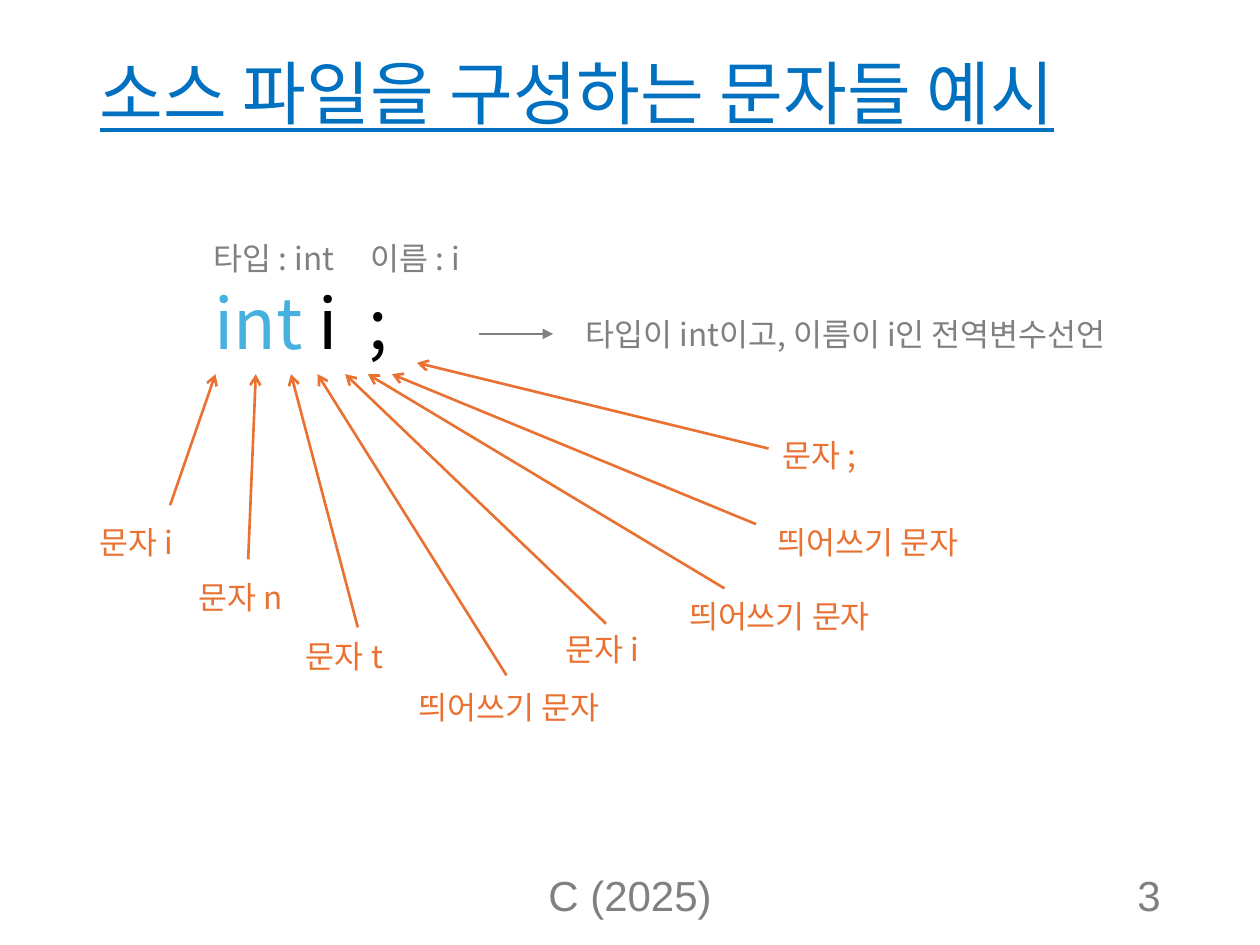
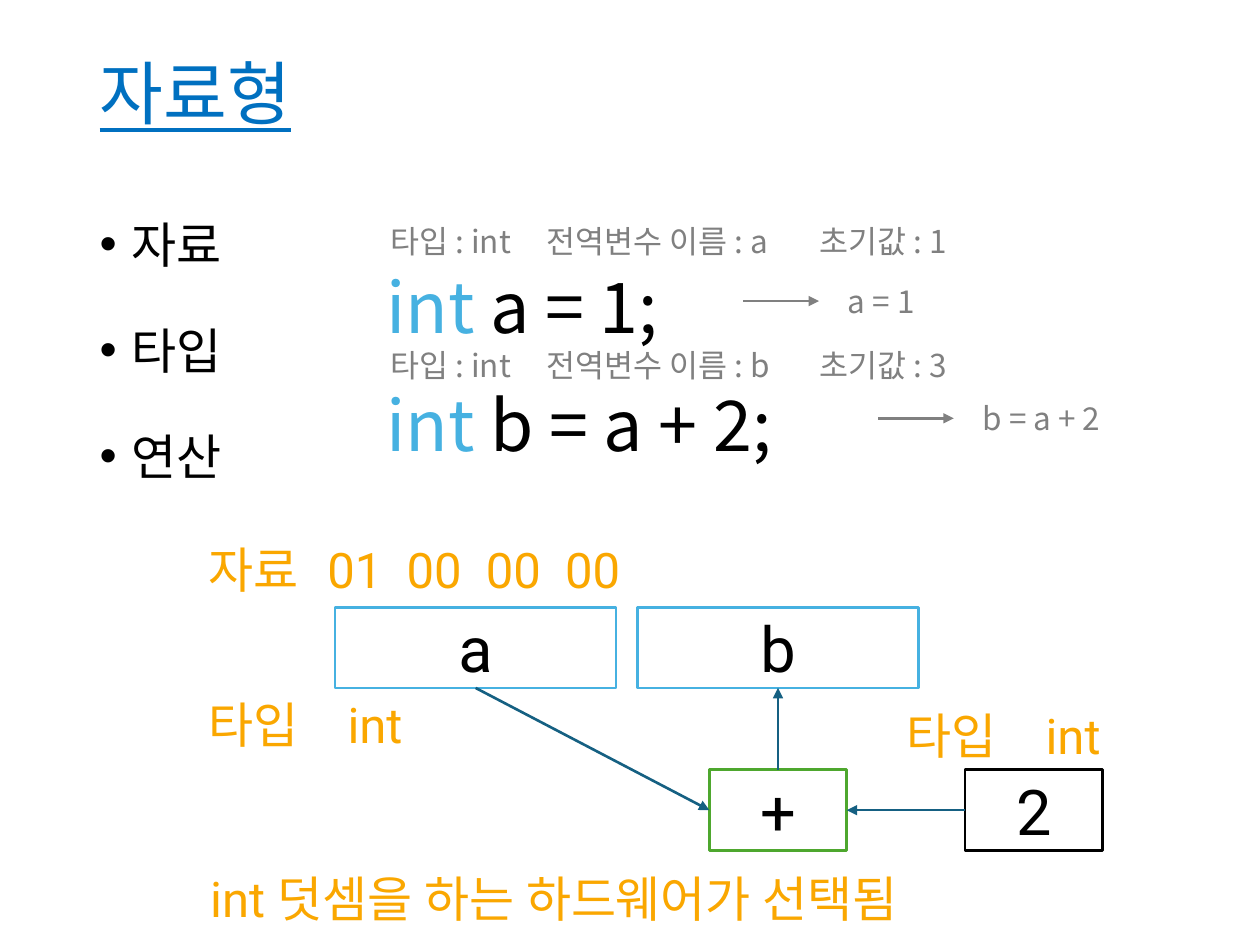
from lxml.etree import SubElement
from pptx import Presentation
from pptx.dml.color import RGBColor
from pptx.enum.shapes import MSO_CONNECTOR as Connector, MSO_SHAPE as Shape
from pptx.enum.text import MSO_ANCHOR as Anchor, MSO_AUTO_SIZE as AutoSize, PP_ALIGN as Align
from pptx.oxml.ns import qn
from pptx.util import Inches, Pt

TITLE_BLUE = RGBColor(0x00, 0x70, 0xC0)
KEYWORD_BLUE = RGBColor(0x46, 0xB1, 0xE1)
FLOW_BLUE = RGBColor(0x15, 0x60, 0x82)
GRAY = RGBColor(0x80, 0x80, 0x80)
ORANGE = RGBColor(0xE9, 0x71, 0x32)
AMBER = RGBColor(0xFA, 0xA7, 0x00)
GREEN = RGBColor(0x4E, 0xA7, 0x2E)
BLACK = RGBColor(0, 0, 0)
WHITE = RGBColor(0xFF, 0xFF, 0xFF)

KOREAN_FONT = "Noto Sans CJK KR"
DIAGRAM_FONT = "Roboto"
FOOTER_FONT = "Arial"
NOTE_HEIGHT = 0.4
BULLET_INDENT = 0.25


def write_text(frame, paragraphs, size=18, font=KOREAN_FONT, color=BLACK, align=Align.LEFT,
               anchor=Anchor.TOP, wrap=True, fit=AutoSize.NONE, underline=None,
               line_spacing=None, space_before=None, bullet=None):
    """Fill a frame; a paragraph is a string or a list of (text, colour) runs."""
    frame.word_wrap, frame.auto_size, frame.vertical_anchor = wrap, fit, anchor
    if isinstance(paragraphs, str):
        paragraphs = [paragraphs]
    for index, content in enumerate(paragraphs):
        paragraph = frame.paragraphs[0] if index == 0 else frame.add_paragraph()
        paragraph.alignment = align
        paragraph.line_spacing = line_spacing
        if space_before is not None:
            paragraph.space_before = Pt(space_before)
        if bullet is not None:
            set_bullet(paragraph, bullet)
        for text, run_color in [(content, color)] if isinstance(content, str) else content:
            run = paragraph.add_run()
            run.text = text
            run.font.size = Pt(size)
            run.font.underline = underline
            run.font.color.rgb = run_color
            run.font.name = font
            SubElement(run.font._element, qn("a:ea"), typeface=font)


def set_bullet(paragraph, character):
    """Give a list paragraph a hanging bullet, or none for an empty character."""
    properties = paragraph._p.get_or_add_pPr()
    indent = Inches(BULLET_INDENT) if character else 0
    properties.set("marL", str(indent))
    properties.set("indent", str(-indent))
    if character:
        SubElement(properties, qn("a:buFont"), typeface="Arial")
        SubElement(properties, qn("a:buChar"), char=character)
    else:
        SubElement(properties, qn("a:buNone"))


class Lecture:
    """Holds the presentation, its style and the current slide."""

    def __init__(self):
        self.presentation = Presentation()
        self.presentation.slide_width = Inches(10)
        self.presentation.slide_height = Inches(7.5)
        self.slide = None

    def new_slide(self, title, width):
        layout = self.presentation.slide_layouts[1]
        self.slide = self.presentation.slides.add_slide(layout)
        shape = self.slide.shapes.title
        self.place(shape, 0.69, 0.4, width, 0.74)
        write_text(shape.text_frame, title, size=39.6, color=TITLE_BLUE, underline=True,
                   anchor=Anchor.MIDDLE, line_spacing=0.9)

    def place(self, shape, left, top, width, height):
        shape.left, shape.top = Inches(left), Inches(top)
        shape.width, shape.height = Inches(width), Inches(height)

    def body(self, paragraphs, left, top, width, height, **style):
        shape = self.slide.placeholders[1]
        self.place(shape, left, top, width, height)
        write_text(shape.text_frame, paragraphs, space_before=10, **style)

    def text(self, text, left, top, width, height, **style):
        shape = self.slide.shapes.add_textbox(
            Inches(left), Inches(top), Inches(width), Inches(height))
        write_text(shape.text_frame, text, **style)

    def note(self, text, left, top, width, color=GRAY):
        self.text(text, left, top, width, NOTE_HEIGHT, color=color, wrap=False,
                  fit=AutoSize.SHAPE_TO_FIT_TEXT)

    def caption(self, text, left, top, width, align=Align.LEFT):
        self.text(text, left, top, width, 0.57, size=28, font=DIAGRAM_FONT, color=AMBER,
                  align=align, fit=AutoSize.SHAPE_TO_FIT_TEXT)

    def footer(self, text, left, width, align):
        self.text(text, left, 6.95, width, 0.4, size=24, font=FOOTER_FONT, color=GRAY,
                  align=align, anchor=Anchor.BOTTOM)

    def box(self, paragraphs, left, top, width, height, line=None, **style):
        shape = self.slide.shapes.add_shape(
            Shape.RECTANGLE, Inches(left), Inches(top), Inches(width), Inches(height))
        shape.shadow.inherit = False
        shape.fill.solid()
        shape.fill.fore_color.rgb = WHITE
        if line is None:
            shape.line.fill.background()
        else:
            shape.line.color.rgb = line
            shape.line.width = Pt(1.5)
        write_text(shape.text_frame, paragraphs, **style)
        return shape

    def value_box(self, text, left, top, width, line):
        return self.box(text, left, top, width, 0.64, line=line, size=36, font=DIAGRAM_FONT,
                        align=Align.CENTER, anchor=Anchor.MIDDLE)

    def arrow(self, start, end, color, head="triangle"):
        connector = self.slide.shapes.add_connector(
            Connector.STRAIGHT, *(Inches(value) for value in (*start, *end)))
        connector.line.color.rgb = color
        connector.line.width = Pt(1.5)
        SubElement(connector.line._get_or_add_ln(), qn("a:tailEnd"), type=head)
        SubElement(connector._element.spPr, qn("a:effectLst"))
        return connector

    def flow(self, source, source_side, target, target_side):
        connector = self.arrow((0, 0), (1, 1), FLOW_BLUE)
        connector.begin_connect(source, source_side)
        connector.end_connect(target, target_side)


def build_characters_slide(lecture):
    lecture.new_slide("소스 파일을 구성하는 문자들 예시", 9.05)
    lecture.footer("C (2025)", 3.31, 3.38, Align.CENTER)
    lecture.footer("3", 7.06, 2.25, Align.RIGHT)

    # Declaration and its meaning
    lecture.body([[("int", KEYWORD_BLUE), (" i  ;", BLACK)]], 1.6, 2.24, 7.54, 0.73,
                 size=40, line_spacing=0.9, bullet="")
    lecture.note("타입 : int", 1.6, 1.85, 1.24)
    lecture.note("이름 : i", 2.84, 1.85, 1)
    lecture.arrow((3.8, 2.65), (4.39, 2.65), GRAY)
    lecture.note("타입이 int이고, 이름이 i인 전역변수선언", 4.55, 2.45, 4.85)

    # Each character: label, label place and width, arrow start and end
    space = "띄어쓰기 문자"
    characters = [
        ("문자 i", 0.69, 4.1, 0.86, (1.35, 4.01), (1.71, 2.97)),
        ("문자 n", 1.48, 4.54, 0.94, (1.97, 4.44), (2.03, 2.97)),
        ("문자 t", 2.33, 5.01, 0.88, (2.84, 4.98), (2.31, 2.97)),
        (space, 3.22, 5.41, 1.81, (4.02, 5.36), (2.52, 2.97)),
        ("문자 i", 4.39, 4.95, 0.86, (4.81, 4.95), (2.74, 2.97)),
        (space, 5.37, 4.69, 1.81, (5.75, 4.67), (2.92, 2.97)),
        (space, 6.07, 4.1, 1.81, (6, 4.16), (3.11, 2.97)),
        ("문자 ;", 6.11, 3.41, 0.86, (6.1, 3.56), (3.31, 2.88)),
    ]
    for label, left, top, width, start, end in characters:
        lecture.arrow(start, end, ORANGE, head="arrow")
        lecture.note(label, left, top, width, color=ORANGE)


def build_types_slide(lecture):
    lecture.new_slide("자료형", 9.18)
    lecture.body(["자료", "타입", "연산"], 0.69, 1.42, 8.34, 5.34,
                 size=28, line_spacing=1.5, bullet="•")

    # Declarations with notes above and results to the right
    lecture.box([[("int", KEYWORD_BLUE), (" a = 1;", BLACK)],
                 [("int", KEYWORD_BLUE), (" b = a + 2;", BLACK)]],
                2.97, 1.91, 6.06, 1.84, size=40, line_spacing=1.2, space_before=10)
    declarations = [
        ("a", "1", 1.71, "a = 1", 5.9, 2.39, 0.83),
        ("b", "3", 2.7, "b = a + 2", 6.97, 3.32, 1.33),
    ]
    for name, value, top, result, arrow_left, arrow_top, width in declarations:
        lecture.note("타입 : int", 3, top, 1.24)
        lecture.note(f"전역변수 이름 : {name}", 4.24, top, 2.17)
        lecture.note(f"초기값 : {value}", 6.41, top, 1.33)
        lecture.arrow((arrow_left, arrow_top), (arrow_left + 0.6, arrow_top), GRAY)
        lecture.note(result, arrow_left + 0.73, arrow_top - NOTE_HEIGHT / 2, width)

    # Data flow of the addition
    variable_a = lecture.value_box("a", 2.66, 4.82, 2.23, KEYWORD_BLUE)
    variable_b = lecture.value_box("b", 5.06, 4.82, 2.23, KEYWORD_BLUE)
    addition = lecture.value_box("+", 5.63, 6.11, 1.09, GREEN)
    constant = lecture.value_box("2", 7.66, 6.11, 1.09, BLACK)
    lecture.flow(variable_a, 2, addition, 1)
    lecture.flow(constant, 1, addition, 3)
    lecture.flow(addition, 0, variable_b, 2)

    # Captions around the diagram
    lecture.caption("01  00  00  00", 2.41, 4.23, 2.7, Align.CENTER)
    lecture.caption("자료", 1.48, 4.23, 1.07, Align.CENTER)
    for left, top in [(1.48, 5.46), (7.02, 5.55)]:
        lecture.caption("타입", left, top, 1.07, Align.CENTER)
        lecture.caption("int", left + 1.18, top, 1.11)
    lecture.caption("int 덧셈을 하는 하드웨어가 선택됨", 1.57, 6.84, 7.87)


def main():
    lecture = Lecture()
    build_characters_slide(lecture)
    build_types_slide(lecture)
    lecture.presentation.save("out.pptx")


if __name__ == "__main__":
    main()
